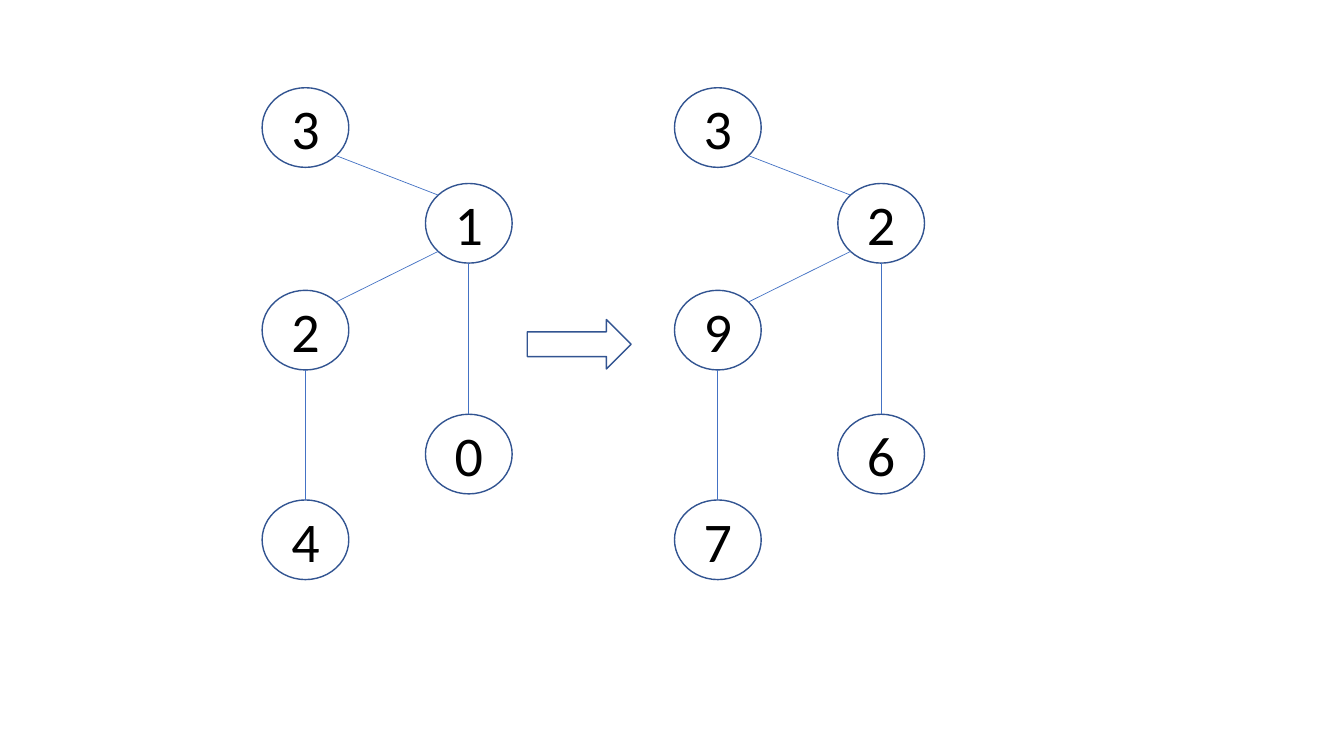
import pptx
import pptx.util
import pptx.dml.color
import pptx.enum.shapes
import pptx.enum.text
import pptx.oxml

WIDE, HIGH = 13.33, 7.5
NODE = (0.86, 0.79)
COLS = (2.6, 4.22)
ROWS = (0.87, 1.82, 2.88, 4.11, 4.96)
SPOTS = ((0, 0), (1, 1), (0, 2), (1, 3), (0, 4))
EDGES = ((0, 1), (1, 3), (2, 4), (1, 2))
TREES = ((0, "31204"), (4.09, "32967"))
ARROW = (5.23, 3.17, 1.03, 0.49)
FILL, RIM, EDGE, INK = "FFFFFF", "325491", "4472C4", "000000"
FONT = {"name": "Calibri", "size": pptx.util.Pt(40)}

inch = pptx.util.Inches
kinds = pptx.enum.shapes.MSO_SHAPE


def tint(code):
    return pptx.dml.color.RGBColor.from_string(code)


def draw(slide, kind, box, text=""):
    shape = slide.shapes.add_shape(kind, *map(inch, box))
    shape.shadow.inherit = False
    shape.fill.solid()
    shape.fill.fore_color.rgb = tint(FILL)
    shape.line.color.rgb = tint(RIM)
    shape.line.width = pptx.util.Pt(1)
    if text:
        frame = shape.text_frame
        frame.vertical_anchor = pptx.enum.text.MSO_ANCHOR.MIDDLE
        para = frame.paragraphs[0]
        para.alignment = pptx.enum.text.PP_ALIGN.CENTER
        run = para.add_run()
        run.text = text
        for name, value in FONT.items():
            setattr(run.font, name, value)
        run.font.color.rgb = tint(INK)


def rim(mid, side, down):
    """Give the point on a node's rim, straight or diagonal from its middle."""
    share = 0.5 ** 0.5 if side else 1
    return (mid[0] + side * share * NODE[0] / 2,
            mid[1] + down * share * NODE[1] / 2)


def link(slide, top, low):
    gap = low[0] - top[0]
    side = (gap > 0) - (gap < 0)
    ends = rim(top, side, 1) + rim(low, -side, -1)
    line = slide.shapes.add_connector(
        pptx.enum.shapes.MSO_CONNECTOR.STRAIGHT, *map(inch, ends))
    line.line.color.rgb = tint(EDGE)
    line.line.width = pptx.util.Pt(0.5)
    line._element.spPr.append(pptx.oxml.parse_xml(
        '<a:effectLst xmlns:a="http://schemas.openxmlformats.org/drawingml/2006/main"/>'))


def main():
    deck = pptx.Presentation()
    deck.slide_width, deck.slide_height = inch(WIDE), inch(HIGH)
    slide = deck.slides.add_slide(deck.slide_layouts[6])
    for shift, keys in TREES:
        spots = [(COLS[col] + shift, ROWS[row]) for col, row in SPOTS]
        mids = [(x + NODE[0] / 2, y + NODE[1] / 2) for x, y in spots]
        for spot, key in zip(spots, keys):
            draw(slide, kinds.OVAL, spot + NODE, key)
        for top, low in EDGES:
            link(slide, mids[top], mids[low])
    draw(slide, kinds.RIGHT_ARROW, ARROW)
    deck.save("out.pptx")


if __name__ == "__main__":
    main()
